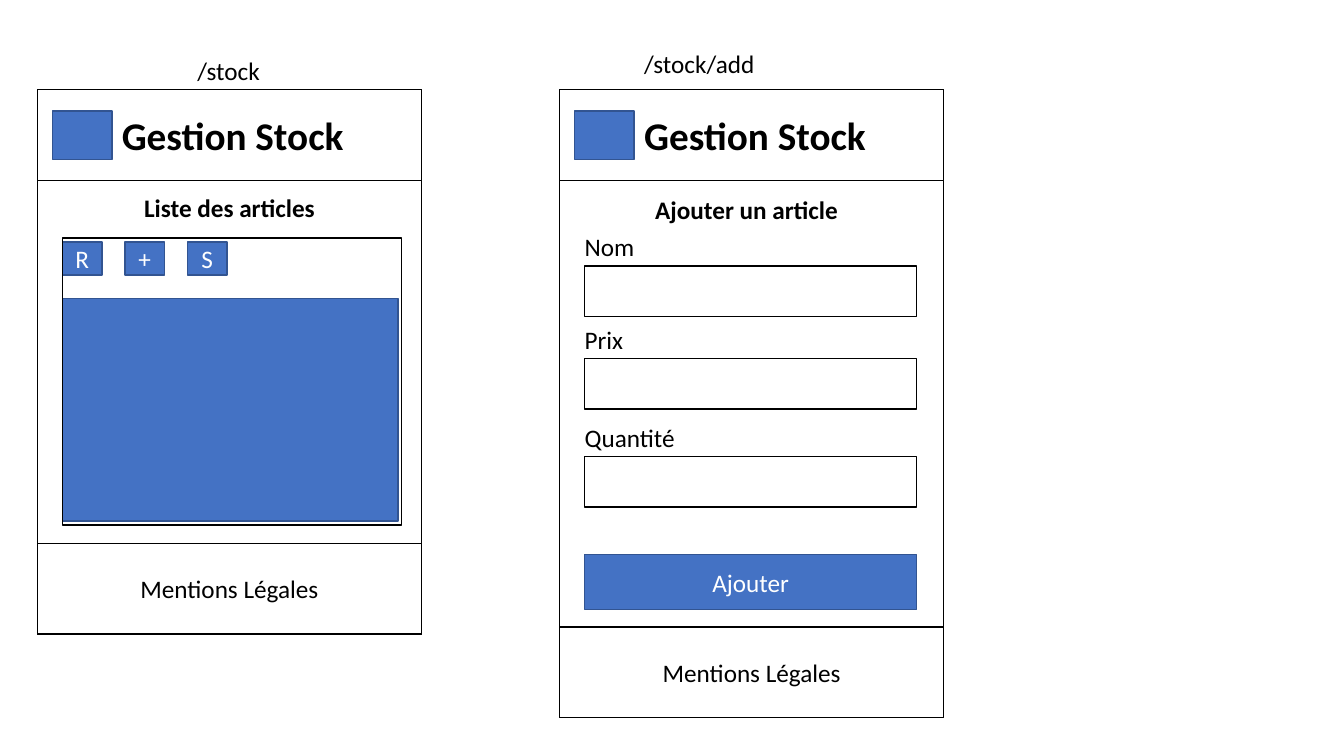
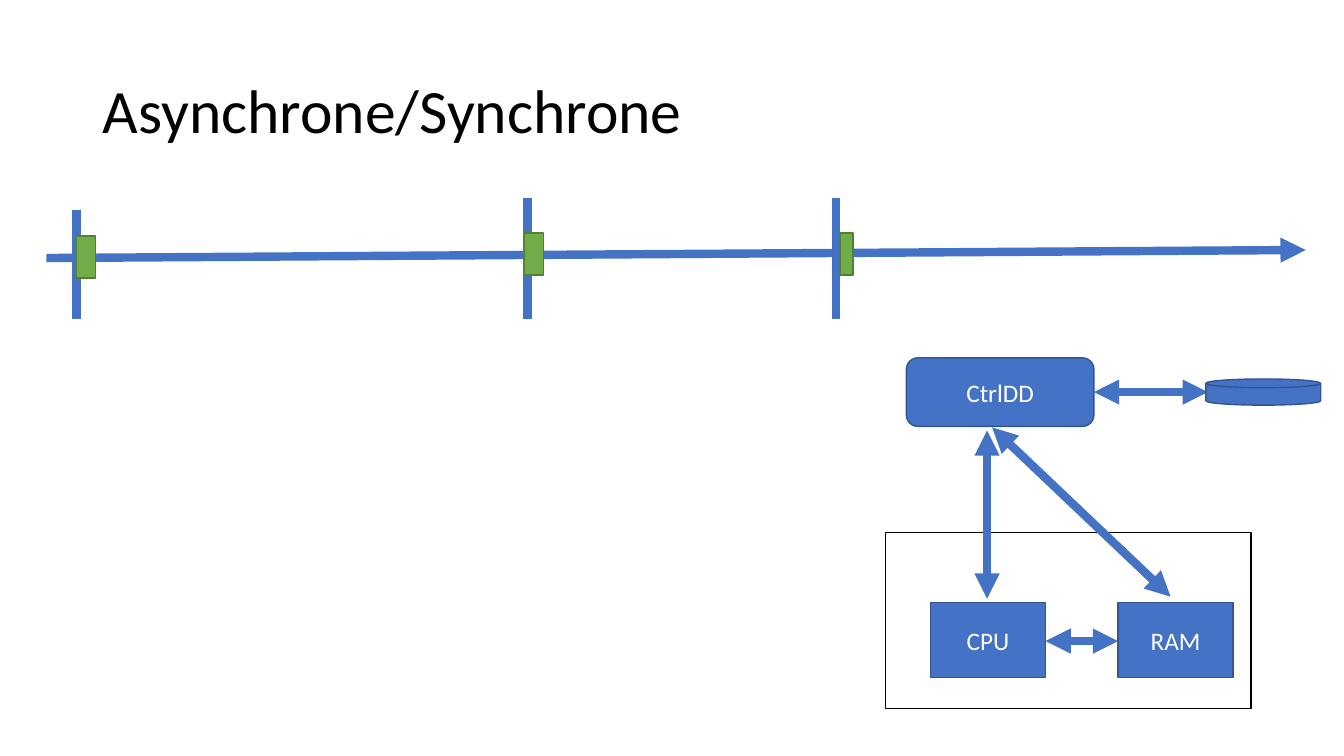
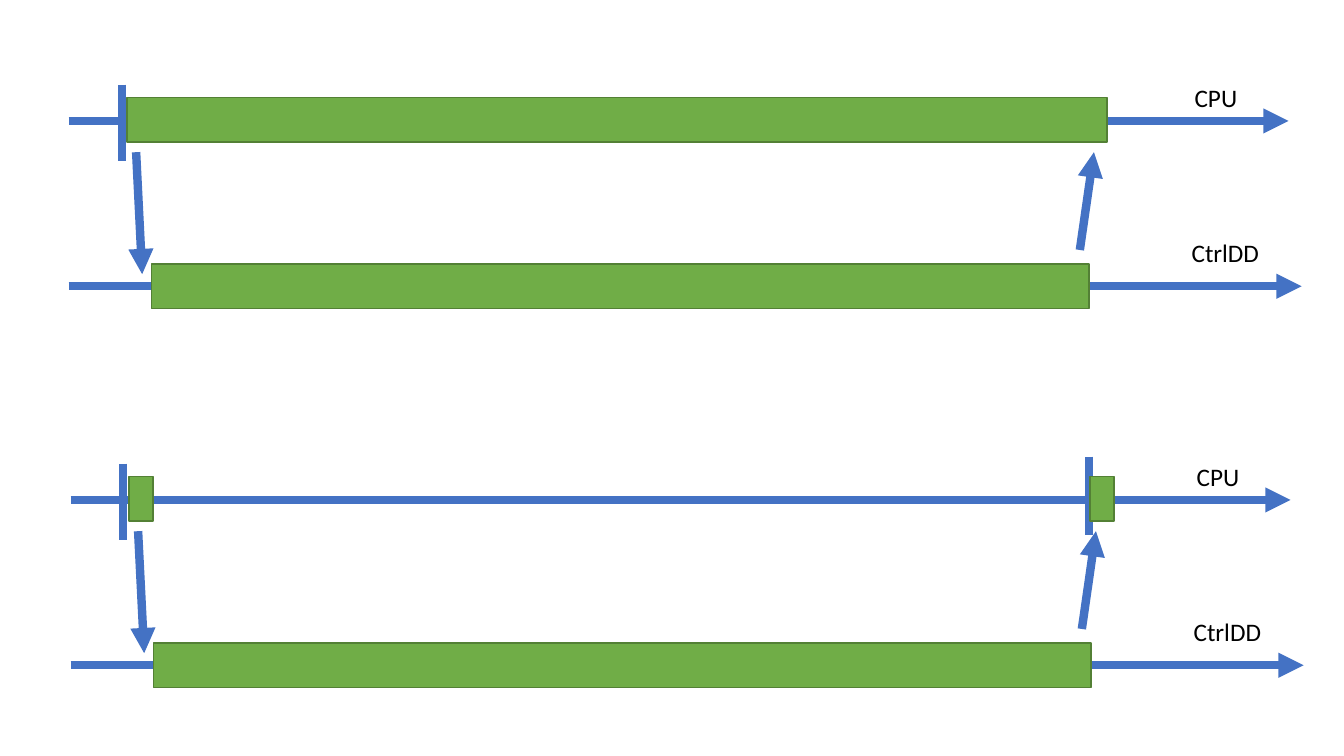
import pptx
import pptx.dml.color
import pptx.enum.shapes
import pptx.enum.text
import pptx.oxml
import pptx.oxml.ns
import pptx.util
import lxml.etree

RGBColor = pptx.dml.color.RGBColor
SHAPE = pptx.enum.shapes.MSO_SHAPE
ALIGN = pptx.enum.text.PP_ALIGN
ANCHOR = pptx.enum.text.MSO_ANCHOR
FIT = pptx.enum.text.MSO_AUTO_SIZE

PX = 9144
FONT = "Calibri"
BLACK = RGBColor(0x00, 0x00, 0x00)
WHITE = RGBColor(0xFF, 0xFF, 0xFF)
BLUE = RGBColor(0x44, 0x72, 0xC4)
BLUE_EDGE = RGBColor(0x32, 0x54, 0x91)
GREEN = RGBColor(0x70, 0xAD, 0x47)
GREEN_EDGE = RGBColor(0x53, 0x80, 0x35)

PLAIN = (WHITE, BLACK, BLACK)
OUTLINE = (None, BLACK, BLACK)
SOLID = (BLUE, BLUE_EDGE, WHITE)
BUSY = (GREEN, GREEN_EDGE, WHITE)


def emu(*lengths):
    return [length * PX for length in lengths]


def write(holder, text, size=18, color=BLACK, bold=False, align=ALIGN.LEFT,
          anchor=ANCHOR.TOP, wrap=True, spacing=1.0):
    frame = holder.text_frame
    frame.word_wrap = wrap
    frame.auto_size = FIT.NONE if wrap else FIT.SHAPE_TO_FIT_TEXT
    frame.vertical_anchor = anchor
    paragraph = frame.paragraphs[0]
    paragraph.alignment = align
    paragraph.line_spacing = spacing
    run = paragraph.add_run()
    run.text = text
    run.font.name = FONT
    run.font.size = pptx.util.Pt(size)
    run.font.bold = bold
    run.font.color.rgb = color


def label(slide, text, left, top, width, height=40, wrap=False, **text_format):
    holder = slide.shapes.add_textbox(*emu(left, top, width, height))
    write(holder, text, wrap=wrap, **text_format)


def block(slide, left, top, width, height, look=SOLID, text="", kind=SHAPE.RECTANGLE):
    fill, edge, ink = look
    shape = slide.shapes.add_shape(kind, *emu(left, top, width, height))
    shape.shadow.inherit = False
    if fill is None:
        shape.fill.background()
    else:
        shape.fill.solid()
        shape.fill.fore_color.rgb = fill
    shape.line.color.rgb = edge
    shape.line.width = pptx.util.Pt(1)
    if text:
        write(shape, text, color=ink, align=ALIGN.CENTER, anchor=ANCHOR.MIDDLE)


def stroke(slide, x1, y1, x2, y2, head=False, tail=False):
    link = slide.shapes.add_connector(
        pptx.enum.shapes.MSO_CONNECTOR.STRAIGHT, *emu(x1, y1, x2, y2))
    link.line.color.rgb = BLUE
    link.line.width = pptx.util.Pt(6)
    outline = link.line._get_or_add_ln()
    for end, shown in (("a:headEnd", head), ("a:tailEnd", tail)):
        if shown:
            lxml.etree.SubElement(outline, pptx.oxml.ns.qn(end), type="triangle")
    lxml.etree.SubElement(link._element.spPr, pptx.oxml.ns.qn("a:effectLst"))


def screen(slide, left, top, height):
    width, band = 381, 90
    block(slide, left, top, width, height, PLAIN)
    block(slide, left, top, width, band, PLAIN)
    block(slide, left, top + height - band, width, band, PLAIN, "Mentions Légales")
    block(slide, left + 15, top + 21, 59, 48)
    label(slide, "Gestion Stock", left + 74, top + 17, 243, 57, size=28, bold=True)


def stock_list(slide, left, top):
    screen(slide, left, top, 540)
    label(slide, "/stock", left + 149, top - 39, 83)
    label(slide, "Liste des articles", left + 96, top + 97, 191, bold=True)
    inner = left + 25
    for column, action in enumerate("R+S"):
        block(slide, inner + 62 * column, top + 151, 39, 33, text=action)
    block(slide, inner, top + 207, 333, 221)
    block(slide, inner, top + 147, 336, 285, OUTLINE)


def add_form(slide, left, top):
    screen(slide, left, top, 623)
    label(slide, "/stock/add", left + 74, top - 46, 131)
    label(slide, "Ajouter un article", left + 85, top + 99, 203, bold=True)
    fields = (("Nom", 70, 175), ("Prix", 59, 267), ("Quantité", 111, 364))
    for name, name_width, offset in fields:
        label(slide, name, left + 15, top + offset - 39, name_width)
        block(slide, left + 25, top + offset, 329, 50, PLAIN)
    block(slide, left + 25, top + 461, 329, 55, text="Ajouter")


def request_timeline(slide, left, top):
    stroke(slide, left, top + 60, left + 1249, top + 52, tail=True)
    events = ((30, 12, 30, 38, 19), (477, 0, 474, 35, 19), (783, 0, 787, 35, 13))
    for tick, tick_top, task, task_top, task_width in events:
        stroke(slide, left + tick, top + tick_top, left + tick, top + 120)
        block(slide, left + task, top + task_top, task_width, 42, BUSY)


def computer(slide, left, top):
    block(slide, left, top + 173, 363, 175, PLAIN)
    for chip, offset in (("CPU", 45), ("RAM", 231)):
        block(slide, left + offset, top + 243, 114, 74, text=chip)
    links = ((159, 281, 231, 281), (101, 239, 101, 72),
             (283, 237, 106, 69), (207, 34, 320, 34))
    for x1, y1, x2, y2 in links:
        stroke(slide, left + x1, top + y1, left + x2, top + y2, head=True, tail=True)
    block(slide, left + 21, top, 186, 68, text="CtrlDD", kind=SHAPE.ROUNDED_RECTANGLE)
    block(slide, left + 318, top + 21, 114, 26, kind=SHAPE.FLOWCHART_MAGNETIC_DISK)


def disk_exchange(slide, left, top, cpu_tasks):
    stroke(slide, left, top + 43, left + 1210, top + 43, tail=True)
    stroke(slide, left, top + 207, left + 1223, top + 207, tail=True)
    label(slide, "CPU", left + 1107, top, 63)
    label(slide, "CtrlDD", left + 1104, top + 154, 88)
    for tick, tick_top, tick_bottom, task, task_width in cpu_tasks:
        stroke(slide, left + tick, top + tick_top, left + tick, top + tick_bottom)
        block(slide, left + task, top + 20, task_width, 44, BUSY)
    block(slide, left + 82, top + 185, 930, 44, BUSY)
    stroke(slide, left + 67, top + 74, left + 73, top + 195, tail=True)
    stroke(slide, left + 1003, top + 171, left + 1017, top + 74, tail=True)


def main():
    deck = pptx.Presentation()
    deck.slide_width, deck.slide_height = emu(1333, 750)
    blank = deck.slide_layouts[6]
    wireframes, timing, comparison = [deck.slides.add_slide(blank) for _ in range(3)]

    stock_list(wireframes, 37, 89)
    add_form(wireframes, 555, 89)

    label(timing, "Asynchrone/Synchrone", 92, 40, 1150, 145, wrap=True,
          size=44, anchor=ANCHOR.MIDDLE, spacing=0.9)
    request_timeline(timing, 46, 196)
    computer(timing, 878, 355)

    disk_exchange(comparison, 68, 77, [(53, 7, 83, 58, 972)])
    disk_exchange(comparison, 70, 453, [(52, 7, 83, 58, 24), (1010, 0, 78, 1011, 24)])

    deck.save("out.pptx")


if __name__ == "__main__":
    main()
